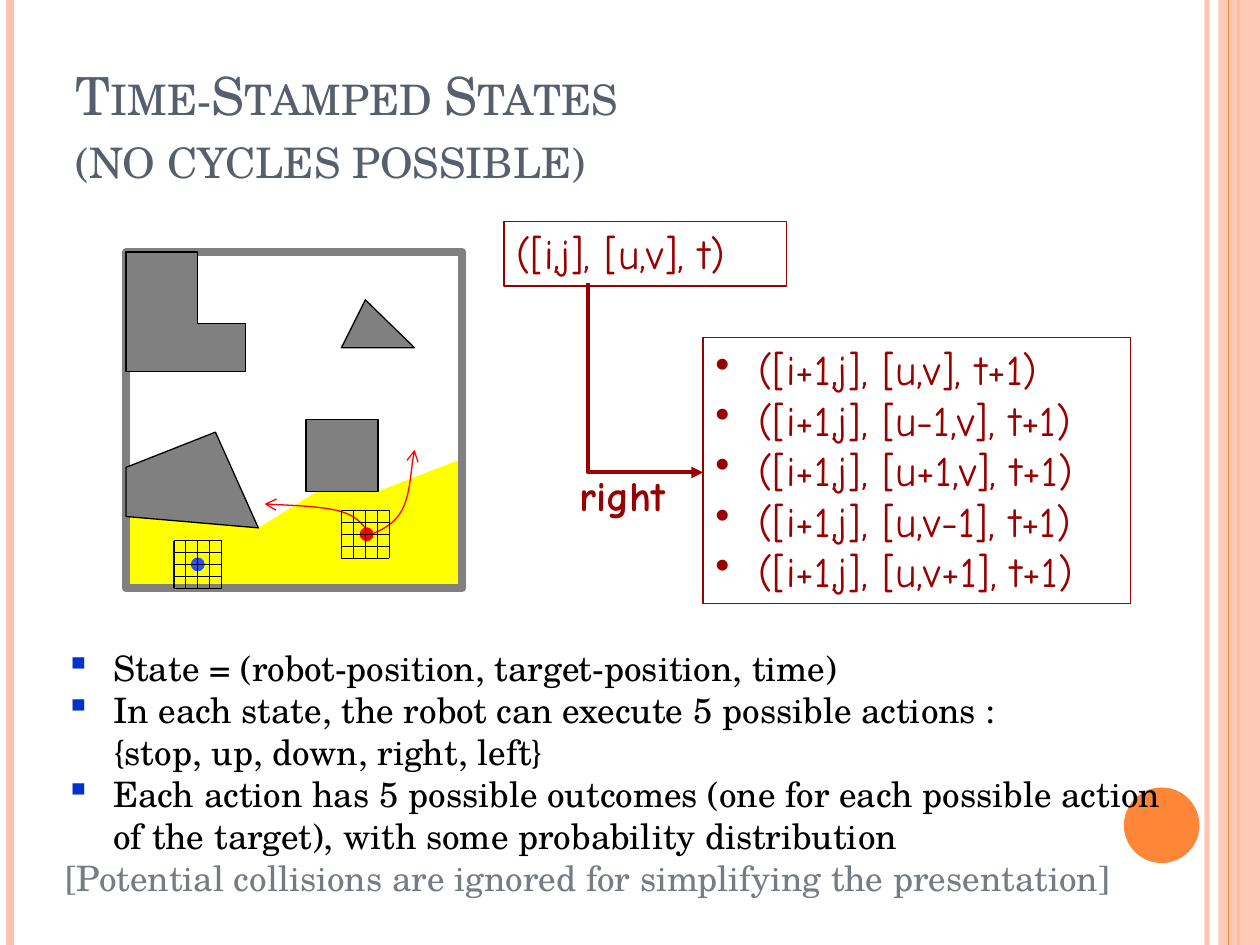
from lxml import etree
from pptx import Presentation
from pptx import util as u
from pptx.dml.color import RGBColor
from pptx.enum import shapes, text
from pptx.oxml.ns import qn

PEACH = RGBColor(0xFE, 0xC3, 0xAE)
ORANGE = RGBColor(0xFE, 0x86, 0x37)
SLATE = RGBColor(0x57, 0x5F, 0x6D)
NOTE_GREY = RGBColor(0x77, 0x7C, 0x84)
OBSTACLE_GREY = RGBColor(0x80, 0x80, 0x80)
YELLOW = RGBColor(0xFF, 0xFF, 0x00)
BLACK = RGBColor(0x00, 0x00, 0x00)
BLUE = RGBColor(0x2B, 0x51, 0xF3)
BULLET_BLUE = RGBColor(0x00, 0x33, 0xCC)
RED = RGBColor(0xFF, 0x00, 0x00)
MAROON = RGBColor(0x99, 0x00, 0x00)
SERIF, HAND = "TeX Gyre Schola", "Comic Neue"

deck = Presentation()
deck.slide_width, deck.slide_height = u.Inches(10), u.Inches(7.5)
slide = deck.slides.add_slide(deck.slide_layouts[5])
parts = slide.shapes


def paint(part, fill=None, line=None, width=0.75, alpha=None, arrow=None):
    if hasattr(part, "fill"):
        if fill is None:
            part.fill.background()
        else:
            part.fill.solid()
            part.fill.fore_color.rgb = fill
    if line is None:
        part.line.fill.background()
    else:
        part.line.color.rgb = line
        part.line.width = u.Pt(width)
    props = part._element.spPr
    if alpha:
        color = next(props.iter(qn("a:srgbClr")))
        etree.SubElement(color, qn("a:alpha"), val=str(alpha * 1000))
    if arrow:
        etree.SubElement(props.find(qn("a:ln")), qn("a:tailEnd"), type=arrow)
    etree.SubElement(props, qn("a:effectLst"))


def write(frame, rows, font, size, color, indent=0, bullet=None, bullet_color=None, bold=False):
    frame.word_wrap = True
    frame.vertical_anchor = text.MSO_ANCHOR.TOP
    for number, row in enumerate(rows):
        para = frame.paragraphs[0] if number == 0 else frame.add_paragraph()
        para.alignment = text.PP_ALIGN.LEFT
        for position, piece in enumerate(row.split("\n")):
            if position:
                para.add_line_break()
            run = para.add_run()
            run.text = piece
            run.font.name, run.font.size, run.font.bold = font, u.Pt(size), bold
            run.font.color.rgb = color
        if indent:
            props = para._p.get_or_add_pPr()
            props.set("marL", str(u.Inches(indent)))
            props.set("indent", str(-u.Inches(indent)))
            tint = etree.SubElement(props, qn("a:buClr"))
            etree.SubElement(tint, qn("a:srgbClr"), val=str(bullet_color))
            etree.SubElement(props, qn("a:buChar"), char=bullet)


for x, color, width, alpha in [(9.58, PEACH, 3, 93), (0.08, PEACH, 4.5, None), (9.83, ORANGE, 1.5, None)]:
    stripe = parts.add_connector(shapes.MSO_CONNECTOR.STRAIGHT, u.Inches(x), 0, u.Inches(x), u.Inches(7.5))
    paint(stripe, line=color, width=width, alpha=alpha)
band = parts.add_shape(shapes.MSO_SHAPE.RECTANGLE, u.Inches(9.67), 0, u.Inches(0.33), u.Inches(7.5))
paint(band, PEACH, alpha=87)
band_stripe = parts.add_connector(shapes.MSO_CONNECTOR.STRAIGHT, u.Inches(9.75), 0, u.Inches(9.75), u.Inches(7.5))
paint(band_stripe, line=ORANGE)
disc = parts.add_shape(shapes.MSO_SHAPE.OVAL, u.Inches(8.92), u.Inches(6.25), u.Inches(0.6), u.Inches(0.6))
paint(disc, ORANGE)

heading = parts.title
heading.left, heading.top, heading.width, heading.height = (u.Inches(v) for v in (0.5, 0.3, 8.17, 1.25))
write(heading.text_frame, ["Time-Stamped States \n(no cycles possible)"], SERIF, 30, SLATE)
heading.text_frame.vertical_anchor = text.MSO_ANCHOR.BOTTOM
heading.text_frame.auto_size = text.MSO_AUTO_SIZE.NONE
for run in heading.text_frame.paragraphs[0].runs:
    run.font._element.set("cap", "small")

visible_area = [(2.05, 4.19), (2.52, 3.9), (3, 3.9), (3.67, 3.64), (3.67, 4.67), (1, 4.67), (1, 4.1)]
obstacles = [
    [(2.43, 3.33), (3, 3.33), (3, 3.9), (2.43, 3.9)],
    [(1, 4.1), (2.05, 4.19), (1.71, 3.43), (1, 3.71)],
    [(1, 2.95), (1.95, 2.95), (1.95, 2.57), (1.57, 2.57), (1.57, 2), (1, 2)],
    [(2.9, 2.38), (2.71, 2.76), (3.29, 2.76)],
]
for outline in [visible_area] + obstacles:
    points = [(u.Inches(x), u.Inches(y)) for x, y in outline]
    builder = parts.build_freeform(*points[0])
    builder.add_line_segments(points[1:], close=True)
    region = builder.convert_to_shape()
    if outline is visible_area:
        paint(region, YELLOW)
        walls = parts.add_shape(shapes.MSO_SHAPE.RECTANGLE, u.Inches(1), u.Inches(2), u.Inches(2.67), u.Inches(2.67))
        paint(walls, line=OBSTACLE_GREY, width=4.5)
    else:
        paint(region, OBSTACLE_GREY, BLACK)

for x, y, color in [(1.52, 4.43, BLUE), (2.86, 4.19, RED)]:
    agent = parts.add_shape(shapes.MSO_SHAPE.OVAL, u.Inches(x), u.Inches(y), u.Inches(0.1), u.Inches(0.1))
    paint(agent, color, color)

escape_routes = [
    [(2.95, 4.24), (3.04, 4.2), (3.13, 4.16), (3.19, 4.05), (3.25, 3.94), (3.27, 3.65), (3.29, 3.57)],
    [(2.9, 4.19), (2.85, 4.13), (2.8, 4.08), (2.67, 4.05), (2.53, 4.02), (2.31, 4.01), (2.1, 4)],
]
for controls in escape_routes:
    points = [(u.Inches(x), u.Inches(y)) for x, y in controls]
    builder = parts.build_freeform(*points[0])
    builder.add_line_segments(points[1:], close=False)
    route = builder.convert_to_shape()
    track = next(route._element.iter(qn("a:path")))
    segments = track.findall(qn("a:lnTo"))
    for start in range(0, len(segments), 3):
        curve = etree.SubElement(track, qn("a:cubicBezTo"))
        for segment in segments[start:start + 3]:
            curve.append(segment[0])
            track.remove(segment)
    paint(route, line=RED, arrow="arrow")

side = 0.38
for left, top in [(2.71, 4.05), (1.38, 4.29)]:
    for step in range(5):
        x, y = left + side * step / 4, top + side * step / 4
        for ends in [(left, y, left + side, y), (x, top, x, top + side)]:
            grid_line = parts.add_connector(shapes.MSO_CONNECTOR.STRAIGHT, *(u.Inches(v) for v in ends))
            paint(grid_line, line=BLACK)

summary = parts.add_textbox(u.Inches(0.42), u.Inches(5.08), u.Inches(9.08), u.Inches(2.1)).text_frame
write(summary, [
    "State = (robot-position, target-position, time)",
    "In each state, the robot can execute 5 possible actions : \n{stop, up, down, right, left}",
    "Each action has 5 possible outcomes (one for each possible action of the target), "
    "with some probability distribution",
], SERIF, 20, BLACK, 0.38, "▪", BULLET_BLUE)
remark = summary.add_paragraph().add_run()
remark.text = "[Potential collisions are ignored for simplifying the presentation]"
remark.font.name, remark.font.size = SERIF, u.Pt(20)
remark.font.color.rgb = NOTE_GREY

state = parts.add_shape(shapes.MSO_SHAPE.RECTANGLE, u.Inches(4), u.Inches(1.76), u.Inches(2.24), u.Inches(0.51))
paint(state, line=MAROON)
write(state.text_frame, ["([i,j], [u,v], t)"], HAND, 24, MAROON)

outcomes = parts.add_shape(shapes.MSO_SHAPE.RECTANGLE, u.Inches(5.58), u.Inches(2.68), u.Inches(3.39), u.Inches(2.11))
paint(outcomes, line=MAROON)
targets = ["u,v", "u-1,v", "u+1,v", "u,v-1", "u,v+1"]
write(outcomes.text_frame, [f"([i+1,j], [{target}], t+1)" for target in targets], HAND, 24, MAROON, 0.34, "•", MAROON)

builder = parts.build_freeform(u.Inches(4.67), u.Inches(2.25))
builder.add_line_segments([(u.Inches(4.67), u.Inches(3.75)), (u.Inches(5.58), u.Inches(3.75))], close=False)
transition = builder.convert_to_shape()
paint(transition, line=MAROON, width=2.25, arrow="triangle")

action = parts.add_textbox(u.Inches(4.5), u.Inches(3.68), u.Inches(0.98), u.Inches(0.5))
write(action.text_frame, ["right"], HAND, 24, MAROON, bold=True)

deck.save("out.pptx")
